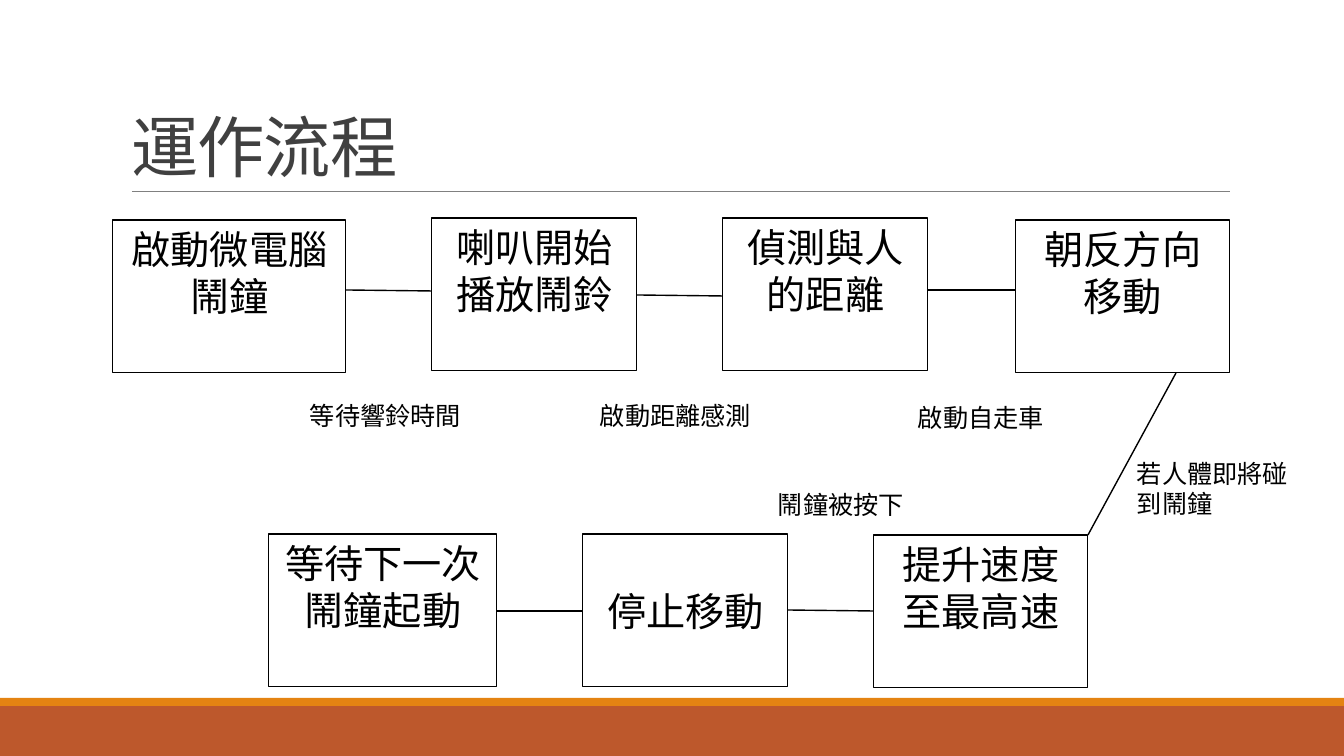
from pptx import Presentation
from pptx.dml.color import RGBColor
from pptx.enum.shapes import MSO_CONNECTOR, MSO_SHAPE
from pptx.enum.text import MSO_ANCHOR, MSO_AUTO_SIZE, PP_ALIGN
from pptx.oxml.ns import qn
from pptx.util import Pt
from lxml import etree

RECTANGLE = MSO_SHAPE.RECTANGLE
STRAIGHT = MSO_CONNECTOR.STRAIGHT
TOP, MIDDLE, BOTTOM = MSO_ANCHOR.TOP, MSO_ANCHOR.MIDDLE, MSO_ANCHOR.BOTTOM
LEFT, CENTER = PP_ALIGN.LEFT, PP_ALIGN.CENTER

# Content: lengths in px
TITLE = "運作流程"
FONT = "Calibri"
COLORS = {"band": "BD582C", "stripe": "E48312", "rule": "808080",
          "title": "404040", "ink": "000000"}
WIDTH, HEIGHT = 1344, 756
BAND_TOP, STRIPE_TOP = 706, 698
STEP_HEIGHT = 153

# Steps: text, left, top, width, anchor
STEPS = {
    "start": ("啟動微電腦鬧鐘", 113, 220, 233, TOP),
    "ring": ("喇叭開始播放鬧鈴", 432, 218, 205, TOP),
    "detect": ("偵測與人的距離", 723, 218, 205, TOP),
    "reverse": ("朝反方向移動", 1016, 220, 214, TOP),
    "speed": ("提升速度至最高速", 874, 535, 214, TOP),
    "stop": ("停止移動", 583, 534, 205, MIDDLE),
    "wait": ("等待下一次鬧鐘起動", 269, 534, 228, TOP),
}
# Links within a row: left step, right step, y at each end
LINKS = [
    ("start", "ring", 290, 291),
    ("ring", "detect", 295, 296),
    ("detect", "reverse", 290, 290),
    ("wait", "stop", 611, 611),
    ("stop", "speed", 610, 611),
]
TURN_X = 1176
# Labels: text, left, top, width, height
LABELS = [
    ("等待響鈴時間", 300, 395, 178, 40),
    ("啟動距離感測", 590, 395, 178, 40),
    ("啟動自走車", 908, 397, 152, 40),
    ("若人體即將碰到鬧鐘", 1127, 453, 188, 72),
    ("鬧鐘被按下", 768, 484, 155, 40),
]


def px(length):
    return round(length * 914400 / 100.8)


def color(name):
    return RGBColor.from_string(COLORS[name])


def write(shape, text, size, ink="ink", align=LEFT, anchor=TOP):
    frame = shape.text_frame
    frame.word_wrap = True
    frame.auto_size = MSO_AUTO_SIZE.NONE
    frame.vertical_anchor = anchor
    frame.text = text
    paragraph = frame.paragraphs[0]
    paragraph.alignment = align
    paragraph.font.name = FONT
    paragraph.font.size = Pt(size)
    paragraph.font.color.rgb = color(ink)
    return paragraph


def add_rectangle(slide, left, top, width, height, fill=None):
    shape = slide.shapes.add_shape(RECTANGLE, px(left), px(top), px(width), px(height))
    shape.shadow.inherit = False
    if fill:
        shape.fill.solid()
        shape.fill.fore_color.rgb = color(fill)
        shape.line.fill.background()
    else:
        shape.fill.background()
        shape.line.color.rgb = color("ink")
        shape.line.width = Pt(0.75)
    return shape


def add_line(slide, x1, y1, x2, y2, ink="ink", weight=1):
    line = slide.shapes.add_connector(STRAIGHT, px(x1), px(y1), px(x2), px(y2))
    line.line.color.rgb = color(ink)
    line.line.width = Pt(weight)
    etree.SubElement(line._element.spPr, qn("a:effectLst"))


def main():
    presentation = Presentation()
    presentation.slide_width, presentation.slide_height = px(WIDTH), px(HEIGHT)
    slide = presentation.slides.add_slide(presentation.slide_layouts[5])

    # Footer bands and title rule
    add_rectangle(slide, 0, BAND_TOP, WIDTH, HEIGHT - BAND_TOP, "band")
    add_rectangle(slide, 0, STRIPE_TOP, WIDTH, BAND_TOP - STRIPE_TOP, "stripe")
    add_line(slide, 132, 191, 1230, 191, "rule", 0.5)

    # Title
    title = slide.shapes.title
    title.left, title.top, title.width, title.height = map(px, (121, 31, 1109, 160))
    paragraph = write(title, TITLE, 48, "title", anchor=BOTTOM)
    paragraph.line_spacing = 0.85
    paragraph.runs[0].font._element.set("spc", "-50")

    # Steps
    for text, left, top, width, anchor in STEPS.values():
        step = add_rectangle(slide, left, top, width, STEP_HEIGHT)
        write(step, text, 28, align=CENTER, anchor=anchor)

    # Links inside the rows, then the turn to the lower row
    for before, after, y1, y2 in LINKS:
        _, left, _, width, _ = STEPS[before]
        add_line(slide, left + width, y1, STEPS[after][1], y2)
    _, left, top, width, _ = STEPS["speed"]
    add_line(slide, TURN_X, STEPS["reverse"][2] + STEP_HEIGHT, left + width, top)

    # Labels
    for text, *box in LABELS:
        write(slide.shapes.add_textbox(*map(px, box)), text, 18)

    presentation.save("out.pptx")


if __name__ == "__main__":
    main()
